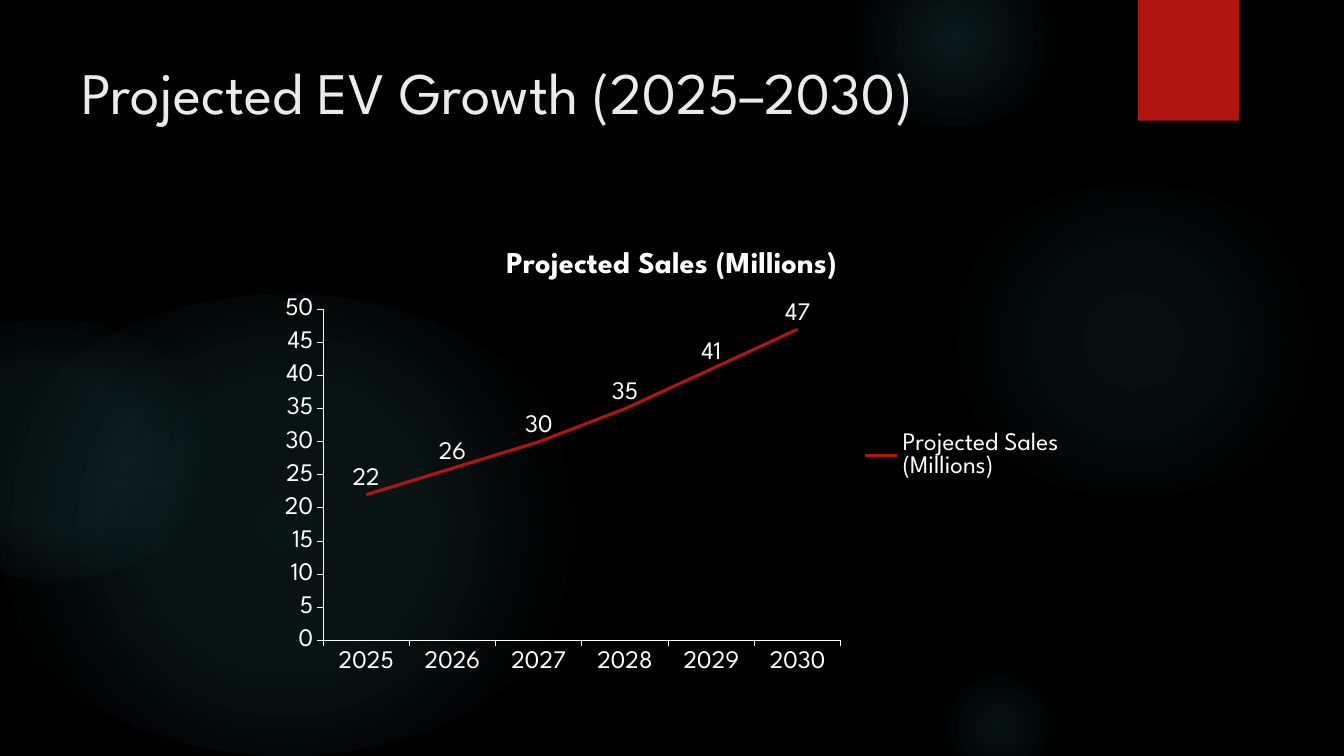
import dataclasses
import pptx
import pptx.chart.data
import pptx.dml.color
import pptx.enum.chart
import pptx.enum.shapes
import pptx.enum.text
import pptx.oxml
import pptx.oxml.ns
import pptx.util


@dataclasses.dataclass
class Theme:
    back: str = "000000"
    glow: str = "50B9C1"
    red: str = "B01513"
    title: str = "EBEBEB"
    text: str = "FFFFFF"
    face: str = "League Spartan"
    head: float = 42
    label: float = 18
    caption: float = 21.6


def px(count):
    return pptx.util.Emu(count * 9525)


def rgb(code):
    return pptx.dml.color.RGBColor.from_string(code)


def node(text):
    return pptx.oxml.parse_xml(text.replace(">", f" {pptx.oxml.ns.nsdecls('a')}>", 1))


class Board:
    def __init__(self, deck, theme):
        self.theme = theme
        self.slide = deck.slides.add_slide(deck.slide_layouts[5])
        fill = self.slide.background.fill
        fill.solid()
        fill.fore_color.rgb = rgb(theme.back)

    def style(self, font, size, color, bold=False):
        font.name = self.theme.face
        font.size = pptx.util.Pt(size)
        font.bold = bold
        font.color.rgb = rgb(color)

    def shape(self, kind, box):
        item = self.slide.shapes.add_shape(kind, *map(px, box))
        item.shadow.inherit = False
        item.line.fill.background()
        return item

    def glow(self, box, stops):
        item = self.shape(pptx.enum.shapes.MSO_SHAPE.OVAL, box)
        item.fill.background()
        marks = "".join(
            f'<a:gs pos="{pos * 1000}"><a:srgbClr val="{self.theme.glow}">'
            f'<a:alpha val="{alpha * 1000}"/></a:srgbClr></a:gs>'
            for pos, alpha in stops)
        fill = node(
            f'<a:gradFill><a:gsLst>{marks}</a:gsLst><a:path path="circle">'
            '<a:fillToRect l="50000" t="50000" r="50000" b="50000"/>'
            '</a:path></a:gradFill>')
        props = item.element.spPr
        props.replace(props.find(pptx.oxml.ns.qn("a:noFill")), fill)

    def flag(self, box):
        item = self.shape(pptx.enum.shapes.MSO_SHAPE.RECTANGLE, box)
        item.fill.solid()
        item.fill.fore_color.rgb = rgb(self.theme.red)
        shade = node(
            '<a:outerShdw blurRad="38100" dist="25400" dir="5400000" rotWithShape="0">'
            '<a:srgbClr val="000000"><a:alpha val="45000"/></a:srgbClr></a:outerShdw>')
        item.element.spPr.find(pptx.oxml.ns.qn("a:effectLst")).append(shade)

    def title(self, text, box):
        item = self.slide.shapes.title
        item.left, item.top, item.width, item.height = map(px, box)
        frame = item.text_frame
        frame.text = text
        frame.word_wrap = True
        frame.auto_size = pptx.enum.text.MSO_AUTO_SIZE.NONE
        frame.vertical_anchor = pptx.enum.text.MSO_ANCHOR.TOP
        line = frame.paragraphs[0]
        line.alignment = pptx.enum.text.PP_ALIGN.LEFT
        self.style(line.runs[0].font, self.theme.head, self.theme.title)
        item.element.getparent().append(item.element)

    def axis(self, axis):
        axis.has_major_gridlines = False
        axis.major_tick_mark = pptx.enum.chart.XL_TICK_MARK.OUTSIDE
        axis.minor_tick_mark = pptx.enum.chart.XL_TICK_MARK.NONE
        axis.format.line.color.rgb = rgb(self.theme.text)
        axis.format.line.width = pptx.util.Pt(0.75)
        self.style(axis.tick_labels.font, self.theme.label, self.theme.text)

    def chart(self, name, sales, box):
        data = pptx.chart.data.CategoryChartData()
        data.categories = list(sales)
        data.add_series(name, list(sales.values()))
        chart = self.slide.shapes.add_chart(
            pptx.enum.chart.XL_CHART_TYPE.LINE, *map(px, box), data).chart
        theme = self.theme
        self.style(chart.font, theme.label, theme.text)
        chart.has_title = True
        frame = chart.chart_title.text_frame
        frame.text = name
        self.style(frame.paragraphs[0].runs[0].font, theme.caption, theme.text, True)
        chart.has_legend = True
        chart.legend.position = pptx.enum.chart.XL_LEGEND_POSITION.RIGHT
        chart.legend.include_in_layout = False
        self.style(chart.legend.font, theme.label, theme.text)
        self.axis(chart.category_axis)
        self.axis(chart.value_axis)
        plot = chart.plots[0]
        plot.vary_by_categories = False
        line = plot.series[0]
        line.smooth = False
        line.marker.style = pptx.enum.chart.XL_MARKER_STYLE.NONE
        line.format.line.color.rgb = rgb(theme.red)
        line.format.line.width = pptx.util.Pt(2.25)
        labels = line.data_labels
        labels.show_value = True
        labels.position = pptx.enum.chart.XL_LABEL_POSITION.ABOVE
        self.style(labels.font, theme.label, theme.text)


def main():
    deck = pptx.Presentation()
    deck.slide_width, deck.slide_height = px(1280), px(720)
    board = Board(deck, Theme())
    glows = [
        ((882, 176, 395, 296), 7, 6, 69),
        ((797, -48, 224, 168), 14, 7, 73),
        ((882, 640, 138, 104), 9, 5, 66),
        ((-21, 280, 587, 440), 11, 10, 75),
        ((-117, 304, 330, 248), 8, 8, 72),
    ]
    for box, core, mid, edge in glows:
        board.glow(box, [(0, core), (36, mid), (edge, 0)])
    board.flag((1084, 0, 96, 115))
    board.title("Projected EV Growth (2025–2030)", (68, 48, 988, 147))
    sales = {"2025": 22, "2026": 26, "2027": 30, "2028": 35, "2029": 41, "2030": 47}
    board.chart("Projected Sales (Millions)", sales, (256, 218, 768, 432))
    deck.save("out.pptx")


if __name__ == "__main__":
    main()
